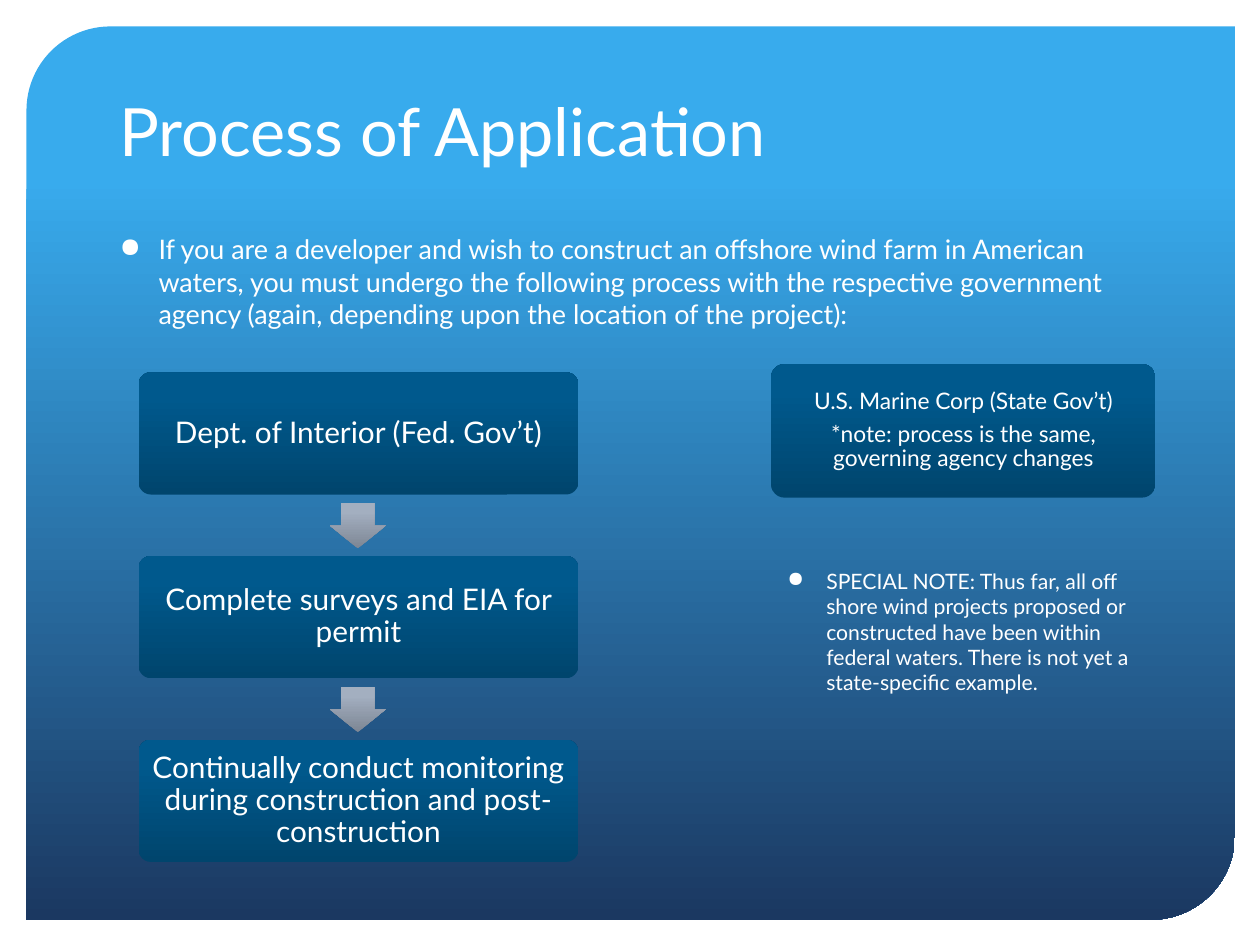
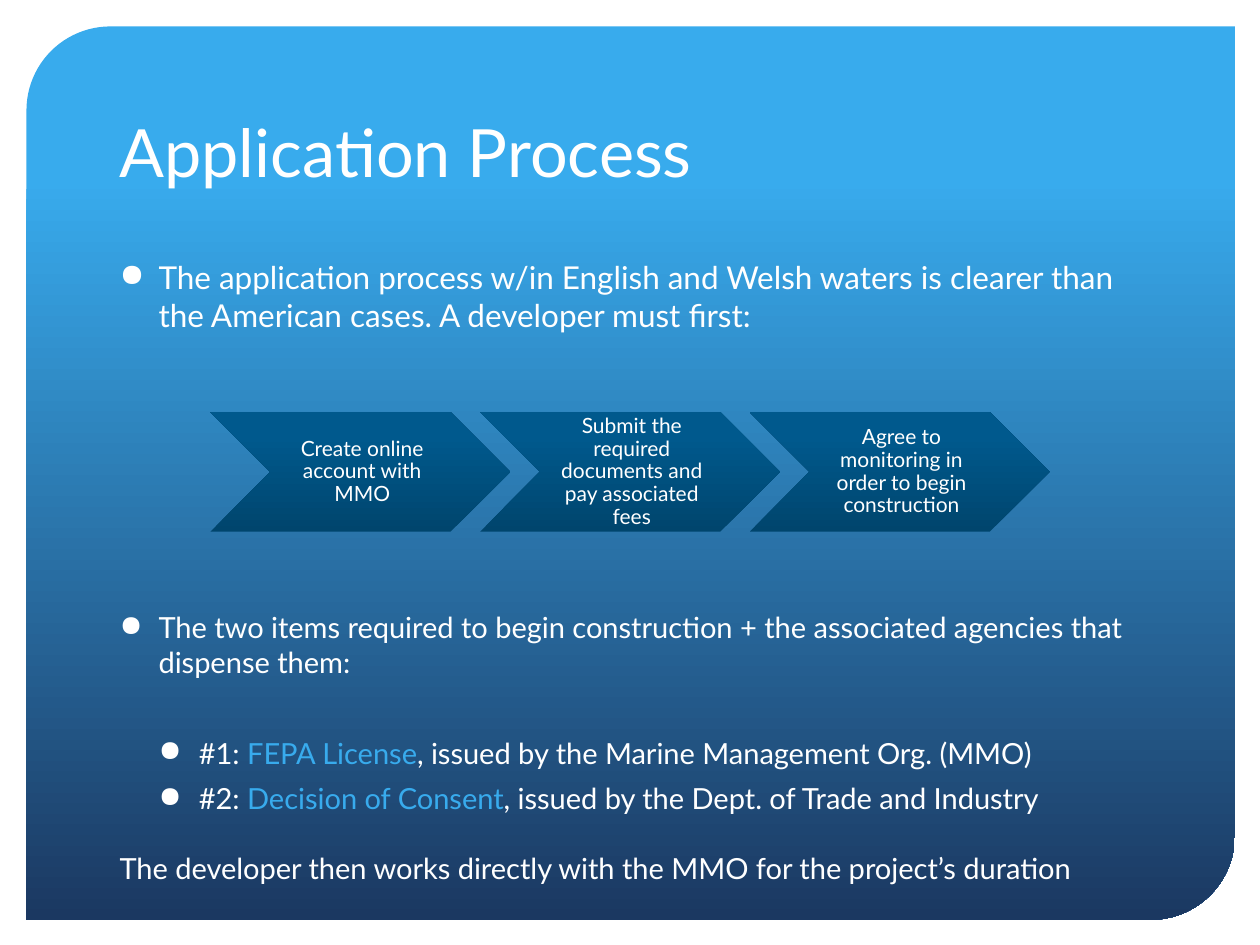
from lxml import etree
from pptx import Presentation
from pptx.dml.color import RGBColor
from pptx.enum import shapes, text
from pptx.oxml import ns
from pptx.util import Inches, Pt

FONT = "Lato"
WHITE = RGBColor(0xFF, 0xFF, 0xFF)
SKY = RGBColor(0x38, 0xAB, 0xED)
NAVY = RGBColor(0x1B, 0x38, 0x61)
DEEP_BLUE = RGBColor(0x00, 0x45, 0x6D)
BLUE = RGBColor(0x00, 0x59, 0x8D)
SLATE = RGBColor(0x7D, 0x86, 0x94)
SILVER = RGBColor(0xA3, 0xAF, 0xC0)

PANEL_FILL = 270, ((0.17, SKY), (1, NAVY))
STEP_FILL = 90, ((0, DEEP_BLUE), (0.8, BLUE))
ARROW_FILL = 90, ((0, SLATE), (0.8, SILVER))
KIND = shapes.MSO_SHAPE


def add_gradient_shape(slide, kind, box, gradient, adjustments=(), lines=(), size=12, insets=(0, 0, 0, 0)):
    shape = slide.shapes.add_shape(kind, *map(Inches, box))
    shape.shadow.inherit = False
    shape.line.fill.background()
    for index, value in enumerate(adjustments):
        shape.adjustments[index] = value
    angle, stops = gradient
    shape.fill.gradient()
    shape.fill.gradient_angle = angle
    for stop, (position, color) in zip(shape.fill.gradient_stops, stops):
        stop.position = position
        stop.color.rgb = color
    frame = shape.text_frame
    frame.word_wrap = True
    frame.vertical_anchor = text.MSO_ANCHOR.MIDDLE
    frame.margin_left, frame.margin_top, frame.margin_right, frame.margin_bottom = map(Inches, insets)
    for index, line in enumerate(lines):
        paragraph = frame.paragraphs[0] if index == 0 else frame.add_paragraph()
        paragraph.text = line
        paragraph.alignment = text.PP_ALIGN.CENTER
        paragraph.line_spacing = 0.9
        if index:
            paragraph.space_before = Pt(0.35 * size)
        paragraph.font.name, paragraph.font.size = FONT, Pt(size)
        paragraph.font.color.rgb = WHITE


def add_text(slide, box, paragraphs, size, anchor=text.MSO_ANCHOR.TOP):
    frame = slide.shapes.add_textbox(*map(Inches, box)).text_frame
    frame.word_wrap = True
    frame.vertical_anchor = anchor
    for index, (pieces, indent, hanging, space) in enumerate(paragraphs):
        paragraph = frame.paragraphs[0] if index == 0 else frame.add_paragraph()
        if hanging:
            properties = paragraph._p.get_or_add_pPr()
            properties.set("marL", str(Inches(indent)))
            properties.set("indent", str(Inches(-hanging)))
            etree.SubElement(properties, ns.qn("a:buChar")).set("char", "●")
        if index:
            paragraph.space_before = Pt(space)
        paragraph.font.name, paragraph.font.size = FONT, Pt(size)
        for piece, color in pieces:
            run = paragraph.add_run()
            run.text = piece
            run.font.color.rgb = color


deck = Presentation()
deck.slide_width, deck.slide_height = Inches(10), Inches(7.5)

slides = []
for heading, heading_top in (("Process of Application", 0.26), ("Application Process", 0.42)):
    slide = deck.slides.add_slide(deck.slide_layouts[6])
    add_gradient_shape(slide, KIND.ROUND_2_DIAG_RECTANGLE, (0.21, 0.21, 9.59, 7.09), PANEL_FILL, (0.094, 0))
    add_text(slide, (0.85, heading_top, 8.29, 1.14), [([(heading, WHITE)], 0, 0, 0)], 38,
             text.MSO_ANCHOR.BOTTOM)
    slides.append(slide)
american, english = slides

for slide, box, size, bullet in (
    (american, (0.85, 1.8, 8.29, 0.84), 15.4,
     "If you are a developer and wish to construct an offshore wind farm in American waters, "
     "you must undergo the following process with the respective government agency "
     "(again, depending upon the location of the project):"),
    (american, (6.15, 4.46, 3, 1.04), 12.1,
     "SPECIAL NOTE: Thus far, all off shore wind projects proposed or constructed have been "
     "within federal waters. There is not yet a state-specific example."),
    (english, (0.85, 2, 8.29, 1.19), 18,
     "The application process w/in English and Welsh waters is clearer than the American cases. "
     "A developer must first:"),
):
    add_text(slide, box, [([(bullet, WHITE)], 0.31, 0.31, 0)], size)

federal_steps = (
    "Dept. of Interior (Fed. Gov’t)",
    "Complete surveys and EIA for permit",
    "Continually conduct monitoring during construction and post-construction",
)
STEP_TOP, STEP_PITCH = 2.955, 1.458
for index, step in enumerate(federal_steps):
    top = STEP_TOP + index * STEP_PITCH
    if index:
        add_gradient_shape(american, KIND.DOWN_ARROW, (2.62, top - 0.42, 0.44, 0.36), ARROW_FILL, (0.6, 0.5))
    add_gradient_shape(american, KIND.ROUNDED_RECTANGLE, (1.1, top, 3.49, 0.97), STEP_FILL, (0.1,),
                       [step], 17, (0.07,) * 4)

state_lines = ("U.S. Marine Corp (State Gov’t)", "*note: process is the same, governing agency changes")
add_gradient_shape(american, KIND.ROUNDED_RECTANGLE, (6.12, 2.89, 3.05, 1.06), STEP_FILL, (0.1,),
                   state_lines, 13, (0.05,) * 4)

developer_steps = (
    "Create online account with MMO",
    "Submit the required documents and pay associated fees",
    "Agree to monitoring in order to begin construction",
)
for index, step in enumerate(developer_steps):
    add_gradient_shape(english, KIND.CHEVRON, (1.67 + index * 2.14, 3.27, 2.38, 0.95), STEP_FILL, (0.5,),
                       [step], 12, (0.05, 0.02, 0.02, 0.02))

requirements = [([("The two items required to begin construction + the associated agencies that dispense them:",
                   WHITE)], 0.31, 0.31, 0)]
for number, permit, issuer, space in (
    ("#1: ", "FEPA License", ", issued by the Marine Management Org. (MMO)", 32),
    ("#2: ", "Decision of Consent", ", issued by the Dept. of Trade and Industry", 6),
):
    requirements.append(([(number, WHITE), (permit, SKY), (issuer, WHITE)], 0.63, 0.32, space))
requirements.append(([("The developer then works directly with the MMO for the project’s duration", WHITE)], 0, 0, 20))
add_text(english, (0.85, 4.79, 8.29, 2.48), requirements, 16.6)

deck.save("out.pptx")
